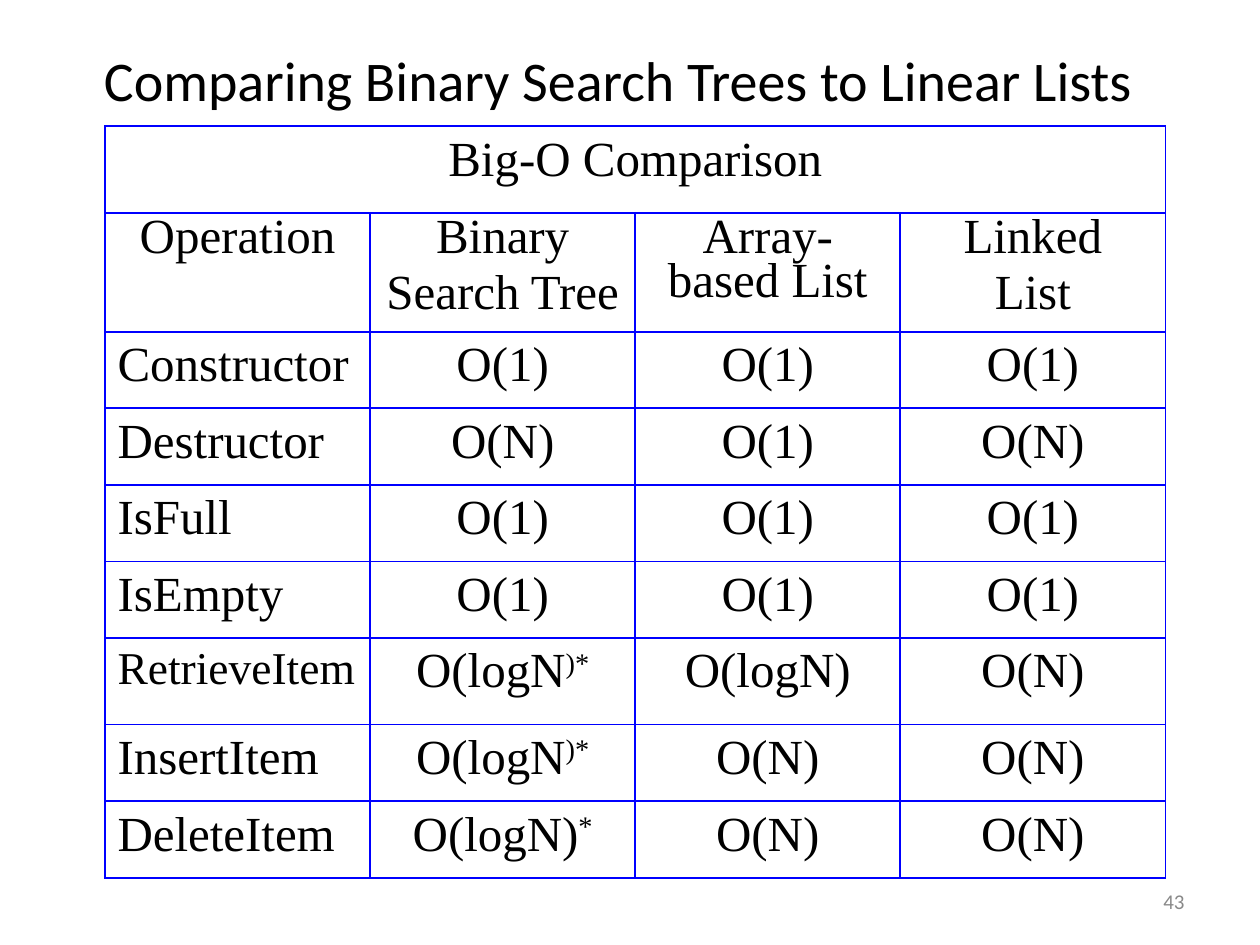
from lxml import etree
from pptx import Presentation
from pptx import util as u
from pptx.dml import color
from pptx.enum import text
from pptx.oxml import ns

BODY_FONT = "Times New Roman"
TITLE_FONT = "Calibri"
BLACK, BLUE, GREY = "000000", "0000FF", "898989"
LEFT, CENTER, RIGHT = text.PP_ALIGN.LEFT, text.PP_ALIGN.CENTER, text.PP_ALIGN.RIGHT

HEADINGS = ["Operation", "Binary\nSearch Tree", "Array-based List", "Linked\nList"]
COMPARISONS = [
    ["Constructor", "O(1)", "O(1)", "O(1)"],
    ["Destructor", "O(N)", "O(1)", "O(N)"],
    ["IsFull", "O(1)", "O(1)", "O(1)"],
    ["IsEmpty", "O(1)", "O(1)", "O(1)"],
    ["RetrieveItem", "O(logN^)*", "O(logN)", "O(N)"],
    ["InsertItem", "O(logN^)*", "O(N)", "O(N)"],
    ["DeleteItem", "O(logN)^*", "O(N)", "O(N)"],
]
ROW_HEIGHTS = [49.6, 68] + [43.75] * 4 + [49.6] + [43.75] * 2


def rgb(value):
    """Turn a hex string into a colour."""
    return color.RGBColor.from_string(value)


def add_span(para, words, size, font=BODY_FONT, ink=BLACK, raised=False):
    """Add one formatted run, raised when it is a superscript."""
    span = para.add_run()
    span.text = words
    span.font.size = u.Pt(size)
    span.font.name = font
    span.font.color.rgb = rgb(ink)
    if raised:
        span._r.get_or_add_rPr().set("baseline", "30000")


def outline_cell(cell):
    """Draw blue borders round a cell and leave it unfilled."""
    properties = cell._tc.get_or_add_tcPr()
    for side in ("a:lnL", "a:lnR", "a:lnT", "a:lnB"):
        line = etree.SubElement(properties, ns.qn(side), w=str(u.Pt(1.08)))
        fill = etree.SubElement(line, ns.qn("a:solidFill"))
        etree.SubElement(fill, ns.qn("a:srgbClr"), val=BLUE)
    cell.fill.background()


def write_cell(cell, words, align=CENTER, size=28, spacing=None):
    """Write lines into a cell; a caret starts a superscript."""
    for index, line in enumerate(words.split("\n")):
        frame = cell.text_frame
        para = frame.add_paragraph() if index else frame.paragraphs[0]
        para.alignment = align
        if spacing:
            para.line_spacing = spacing
        if index:
            para.space_before = u.Pt(7)
        base, _, superscript = line.partition("^")
        add_span(para, base, size)
        if superscript:
            add_span(para, superscript, size, raised=True)


def add_title(page, left, top, width, height):
    """Place and write the slide title."""
    title = page.shapes.title
    title.left, title.top = u.Pt(left), u.Pt(top)
    title.width, title.height = u.Pt(width), u.Pt(height)
    title.text_frame.vertical_anchor = text.MSO_ANCHOR.MIDDLE
    para = title.text_frame.paragraphs[0]
    para.alignment = CENTER
    add_span(para, "Comparing Binary Search Trees to Linear Lists ", 32, TITLE_FONT)


def add_comparison_table(page, left, top, width):
    """Build the Big-O table with its banner, headings and operations."""
    columns = len(HEADINGS)
    frame = page.shapes.add_table(
        len(ROW_HEIGHTS), columns, u.Pt(left), u.Pt(top),
        u.Pt(width), u.Pt(sum(ROW_HEIGHTS)))
    table = frame.table
    table.first_row = table.horz_banding = False
    for row, height in zip(table.rows, ROW_HEIGHTS):
        row.height = u.Pt(height)
    for column in table.columns:
        column.width = u.Pt(width / columns)
    for cell in table.iter_cells():
        outline_cell(cell)
    banner = table.cell(0, 0)
    banner.merge(table.cell(0, columns - 1))
    write_cell(banner, "Big-O Comparison")
    for index, heading in enumerate(HEADINGS):
        write_cell(table.cell(1, index), heading, spacing=0.8)
    for row, (operation, *costs) in enumerate(COMPARISONS, 2):
        size = 26 if operation == "RetrieveItem" else 28
        write_cell(table.cell(row, 0), operation, LEFT, size)
        for column, cost in enumerate(costs, 1):
            write_cell(table.cell(row, column), cost)


def add_page_number(page, left, top, width, height):
    """Write the page number at the right of its box."""
    box = page.shapes.add_textbox(u.Pt(left), u.Pt(top), u.Pt(width), u.Pt(height))
    box.text_frame.word_wrap = True
    box.text_frame.vertical_anchor = text.MSO_ANCHOR.MIDDLE
    para = box.text_frame.paragraphs[0]
    para.alignment = RIGHT
    add_span(para, "43", 12, TITLE_FONT, GREY)


def main():
    """Build and save the deck."""
    deck = Presentation()
    deck.slide_width, deck.slide_height = u.Pt(720), u.Pt(540)
    page = deck.slides.add_slide(deck.slide_layouts[5])
    add_title(page, 42, 36, 630, 18)
    add_comparison_table(page, 60, 72, 606)
    add_page_number(page, 516, 500.5, 168, 28.8)
    deck.save("out.pptx")


if __name__ == "__main__":
    main()
